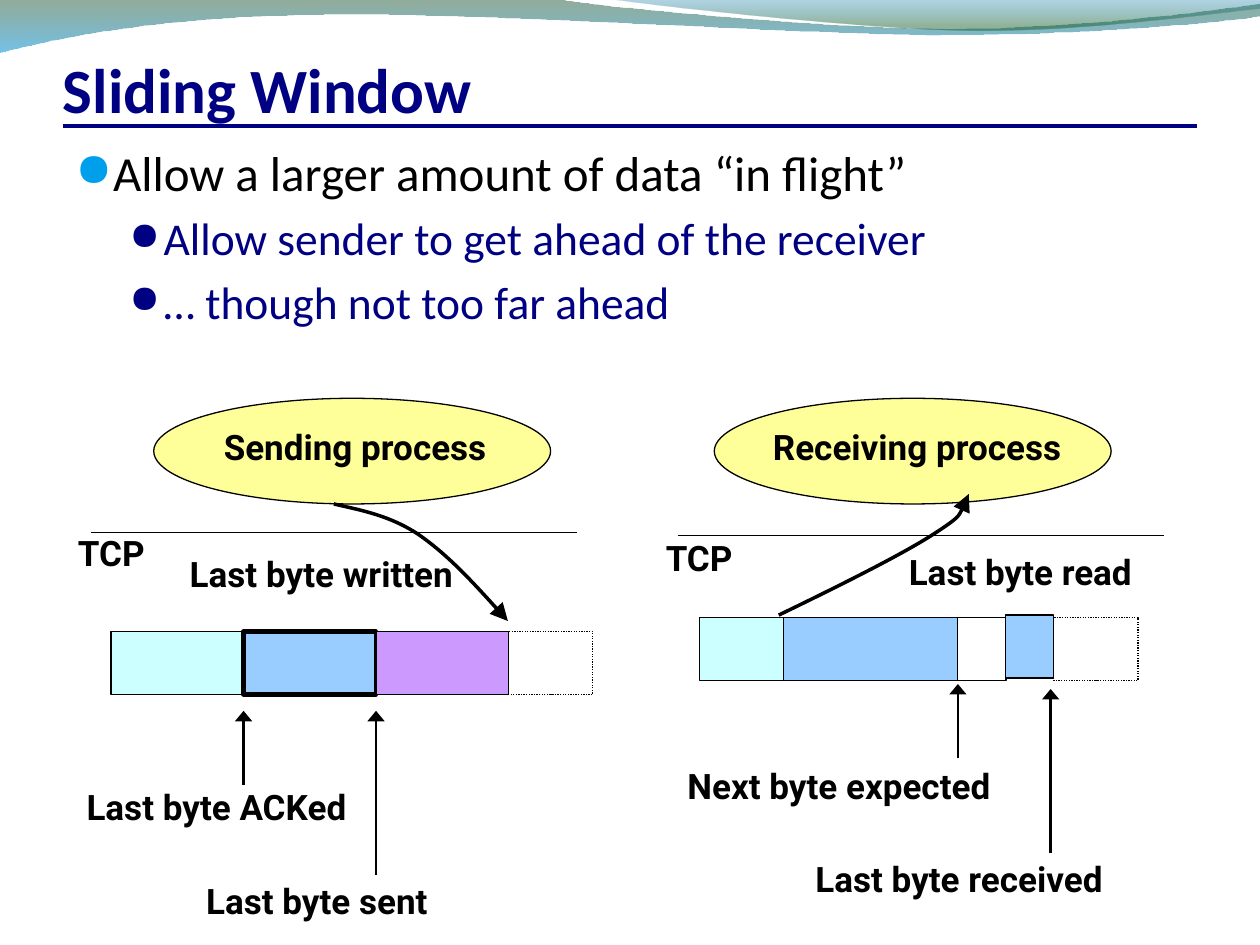
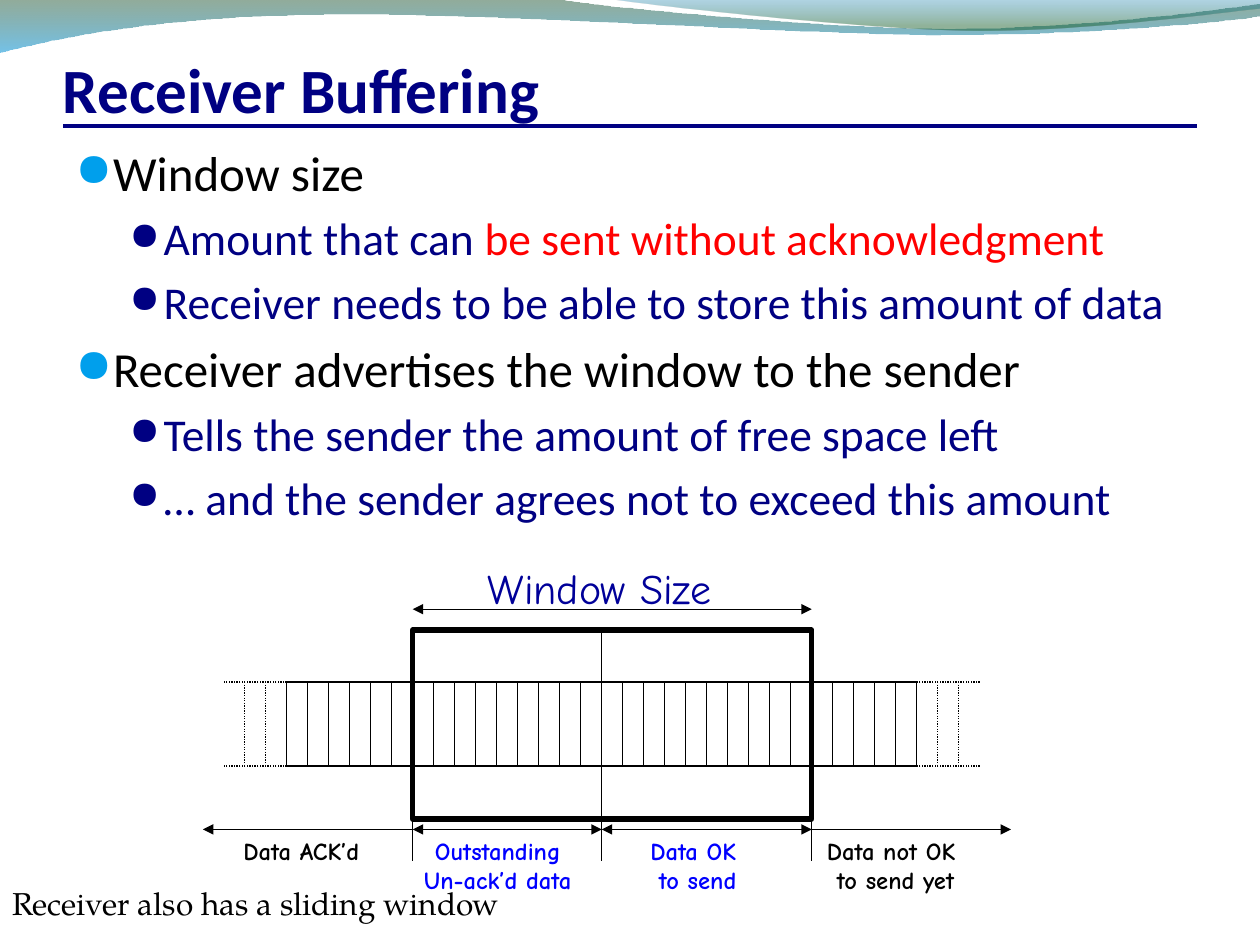
from dataclasses import dataclass

import lxml.etree
import pptx
import pptx.dml.color
import pptx.enum.dml
import pptx.enum.shapes
import pptx.enum.text
import pptx.oxml.ns
import pptx.util

Cm = pptx.util.Cm
RGBColor = pptx.dml.color.RGBColor
SHAPE = pptx.enum.shapes.MSO_SHAPE
ALIGN = pptx.enum.text.PP_ALIGN
ANCHOR = pptx.enum.text.MSO_ANCHOR
qn = pptx.oxml.ns.qn

BLACK = RGBColor(0x00, 0x00, 0x00)
WHITE = RGBColor(0xFF, 0xFF, 0xFF)
NAVY = RGBColor(0x00, 0x00, 0x82)
SKY = RGBColor(0x00, 0x9F, 0xEC)
RED = RGBColor(0xFF, 0x00, 0x00)
YELLOW = RGBColor(0xFF, 0xFF, 0x99)
AQUA = RGBColor(0xCC, 0xFF, 0xFF)
LIGHT_BLUE = RGBColor(0x99, 0xCC, 0xFF)
VIOLET = RGBColor(0xCC, 0x99, 0xFF)
INDIGO = RGBColor(0x00, 0x00, 0x99)
BLUE = RGBColor(0x00, 0x00, 0xFF)

TITLE_FONT, LABEL_FONT = "Calibri", "Roboto"
COMIC_FONT, FOOTER_FONT = "Comic Neue", "TeX Gyre Pagella"
BULLET_FONT = "OpenSymbol"
SLIDE_W, SLIDE_H = 25.4, 19.05


@dataclass(frozen=True)
class Box:
    """A preset shape; lengths in centimetres."""
    x: float
    y: float
    w: float
    h: float
    fill: RGBColor | None = None
    line_pt: float = 0.75
    dotted: bool = False
    kind: SHAPE = SHAPE.RECTANGLE


@dataclass(frozen=True)
class Stroke:
    """Line format; tip holds the width and length of the arrowheads."""
    width_pt: float = 0.75
    color: RGBColor = BLACK
    dotted: bool = False
    head: bool = False
    tail: bool = False
    tip: tuple[str, str] = ("med", "med")


@dataclass(frozen=True)
class Label:
    x: float
    y: float
    w: float
    h: float
    lines: tuple[str, ...]
    color: RGBColor = BLACK


@dataclass(frozen=True)
class Band:
    """A wave: 2-tuples are line ends, 6-tuples are cubic curves; stops hold position, colour, opacity."""
    start: tuple
    steps: tuple
    stops: tuple


@dataclass(frozen=True)
class Level:
    size: float
    color: RGBColor
    bullet_color: RGBColor
    bullet_pct: int
    left: float
    hanging: float


THIN = Stroke()
DOTTED = Stroke(dotted=True)
POINTER = Stroke(1.5, tail=True, tip=("lg", "med"))
CURVED_ARROW = Stroke(2, tail=True, tip=("lg", "lg"))

LEVELS = (Level(28, BLACK, SKY, 95, 0.76, 0.76),
          Level(26, NAVY, NAVY, 85, 1.78, 0.69))

BANDS = (
    Band((0, -0.02),
         ((11.18, -0.02), (12.09, 0.15, 16.87, 0.58, 19.25, 0.58),
          (21.67, 0.58, 24.33, 0.23, 25.4, 0.08), (25.43, 0.33),
          (24.97, 0.41, 22.1, 0.71, 18.95, 0.71),
          (15.8, 0.69, 9.7, 0.25, 6.53, 0.3),
          (3.28, 0.33, 1.17, 0.76, -0.02, 1.06)),
         ((0, RGBColor(0x0F, 0x46, 0x1E), 45), (1, RGBColor(0x00, 0x90, 0xD6), 55))),
    Band((12.17, -0.02),
         ((12.93, 0.1, 17.32, 0.58, 19.53, 0.61),
          (21.74, 0.64, 24.41, 0.28, 25.4, 0.18), (25.4, -0.02)),
         ((0, RGBColor(0x00, 0x76, 0xAF), 30), (0.8, RGBColor(0x0D, 0x58, 0x21), 45))),
)


def write(p, text: str, *, size: float, font: str, color: RGBColor, bold: bool = False) -> None:
    r = p.add_run()
    r.text = text
    r.font.size = pptx.util.Pt(size)
    r.font.name = font
    r.font.bold = bold
    r.font.color.rgb = color


def set_line(sp, stroke: Stroke) -> None:
    sp.line.color.rgb = stroke.color
    sp.line.width = pptx.util.Pt(stroke.width_pt)
    if stroke.dotted:
        sp.line.dash_style = pptx.enum.dml.MSO_LINE.ROUND_DOT
    ln = sp.element.spPr.find(qn("a:ln"))
    width, length = stroke.tip
    for tag, wanted in (("a:headEnd", stroke.head), ("a:tailEnd", stroke.tail)):
        if wanted:
            lxml.etree.SubElement(ln, qn(tag), type="triangle", w=width, len=length)


def add_box(slide, box: Box):
    sp = slide.shapes.add_shape(box.kind, Cm(box.x), Cm(box.y), Cm(box.w), Cm(box.h))
    sp.shadow.inherit = False
    if box.fill is None:
        sp.fill.background()
    else:
        sp.fill.solid()
        sp.fill.fore_color.rgb = box.fill
    if box.line_pt:
        set_line(sp, Stroke(box.line_pt, dotted=box.dotted))
    else:
        sp.line.fill.background()
    return sp


def add_line(slide, x1: float, y1: float, x2: float, y2: float, stroke: Stroke = THIN) -> None:
    cxn = slide.shapes.add_connector(pptx.enum.shapes.MSO_CONNECTOR.STRAIGHT,
                                     Cm(x1), Cm(y1), Cm(x2), Cm(y2))
    set_line(cxn, stroke)
    lxml.etree.SubElement(cxn.element.spPr, qn("a:effectLst"))


def add_curve(slide, start: tuple, steps: tuple, close: bool = False):
    """Build the outline through all its points, then turn each 6-tuple step into a cubic curve."""
    points = [(Cm(step[i]), Cm(step[i + 1])) for step in steps for i in range(0, len(step), 2)]
    builder = slide.shapes.build_freeform(Cm(start[0]), Cm(start[1]))
    builder.add_line_segments(points, close=close)
    sp = builder.convert_to_shape()
    sp.shadow.inherit = False
    segments = iter(list(sp.element.spPr.iter(qn("a:lnTo"))))
    for step in steps:
        first, *others = [next(segments) for _ in range(len(step) // 2)]
        if others:
            first.tag = qn("a:cubicBezTo")
        for segment in others:
            first.append(segment[0])
            segment.getparent().remove(segment)
    return sp


def add_curved_arrow(slide, start: tuple, *steps: tuple) -> None:
    sp = add_curve(slide, start, steps)
    sp.fill.background()
    set_line(sp, CURVED_ARROW)


def add_band(slide, band: Band) -> None:
    sp = add_curve(slide, band.start, band.steps, close=True)
    sp.line.fill.background()
    sp.fill.gradient()
    sp.fill.gradient_angle = 270
    for stop, (position, color, _) in zip(sp.fill.gradient_stops, band.stops):
        stop.position = position
        stop.color.rgb = color
    for clr, (_, _, opacity) in zip(sp.element.spPr.iter(qn("a:srgbClr")), band.stops):
        lxml.etree.SubElement(clr, qn("a:alpha"), val=str(opacity * 1000))


def add_label(slide, label: Label, *, size: float = 20, font: str = LABEL_FONT,
              bold: bool = True, align: ALIGN = ALIGN.CENTER) -> None:
    tb = slide.shapes.add_textbox(Cm(label.x), Cm(label.y), Cm(label.w), Cm(label.h))
    tf = tb.text_frame
    tf.word_wrap = False
    tf.auto_size = pptx.enum.text.MSO_AUTO_SIZE.SHAPE_TO_FIT_TEXT
    for i, text in enumerate(label.lines):
        p = tf.add_paragraph() if i else tf.paragraphs[0]
        p.alignment = align
        write(p, text, size=size, font=font, color=label.color, bold=bold)


def format_bullet(p, level: Level) -> None:
    pPr = p._p.get_or_add_pPr()
    pPr.set("marL", str(Cm(level.left)))
    pPr.set("indent", str(-Cm(level.hanging)))
    before = lxml.etree.SubElement(pPr, qn("a:spcBef"))
    lxml.etree.SubElement(before, qn("a:spcPct"), val="20000")
    color = lxml.etree.SubElement(pPr, qn("a:buClr"))
    lxml.etree.SubElement(color, qn("a:srgbClr"), val=str(level.bullet_color))
    lxml.etree.SubElement(pPr, qn("a:buSzPct"), val=str(level.bullet_pct * 1000))
    lxml.etree.SubElement(pPr, qn("a:buFont"), typeface=BULLET_FONT)
    lxml.etree.SubElement(pPr, qn("a:buChar"), char="●")


def add_base_slide(prs, title: str, bullets: tuple, footer: str = ""):
    """Add a slide with waves, title, rule, bullets (level, text, red text) and footer strip."""
    slide = prs.slides.add_slide(prs.slide_layouts[6])
    for band in BANDS:
        add_band(slide, band)
    add_line(slide, 1.27, 2.54, 24.13, 2.54, Stroke(2.25, NAVY))

    tf = slide.shapes.add_textbox(Cm(1.27), Cm(0.84), Cm(22.86), Cm(1.7)).text_frame
    tf.word_wrap = True
    tf.vertical_anchor = ANCHOR.BOTTOM
    tf.margin_left = tf.margin_right = tf.margin_bottom = 0
    write(tf.paragraphs[0], title, size=36, font=TITLE_FONT, color=NAVY, bold=True)

    tf = slide.shapes.add_textbox(Cm(1.27), Cm(2.75), Cm(22.86), Cm(14.81)).text_frame
    tf.word_wrap = True
    for i, (depth, text, red_text) in enumerate(bullets):
        p = tf.add_paragraph() if i else tf.paragraphs[0]
        p.level = depth
        level = LEVELS[depth]
        format_bullet(p, level)
        write(p, text, size=level.size, font=TITLE_FONT, color=level.color)
        if red_text:
            write(p, red_text, size=level.size, font=TITLE_FONT, color=RED)

    strip = add_box(slide, Box(0, 17.35, SLIDE_W, 1.7, WHITE, line_pt=0))
    if footer:
        tf = strip.text_frame
        tf.word_wrap = False
        tf.vertical_anchor = ANCHOR.MIDDLE
        tf.paragraphs[0].alignment = ALIGN.LEFT
        write(tf.paragraphs[0], footer, size=18, font=FOOTER_FONT, color=BLACK)
    return slide


def build_sliding_window(prs) -> None:
    slide = add_base_slide(prs, "Sliding Window", (
        (0, "Allow a larger amount of data “in flight”", ""),
        (1, "Allow sender to get ahead of the receiver", ""),
        (1, "… though not too far ahead", "")))
    for x in (3.1, 14.4):
        add_box(slide, Box(x, 8.03, 8, 2.13, YELLOW, kind=SHAPE.OVAL))
    for x, y in ((1.83, 10.74), (13.67, 10.8)):
        add_line(slide, x, y, x + 9.8, y)

    send_y, receive_y, h = 12.73, 12.45, 1.27
    for box in (Box(2.24, send_y, 2.67, h, AQUA),
                Box(4.91, send_y, 2.67, h, LIGHT_BLUE, 2.5),
                Box(7.58, send_y, 2.67, h, VIOLET),
                Box(10.25, send_y, 1.7, h, dotted=True),
                Box(14.1, receive_y, 1.7, h, AQUA),
                Box(15.8, receive_y, 3.63, h, LIGHT_BLUE),
                Box(19.31, receive_y, 0.97, h, WHITE),
                Box(21.24, receive_y, 1.7, h, dotted=True),
                Box(20.27, 12.4, 0.97, h, LIGHT_BLUE)):
        add_box(slide, box)

    add_curved_arrow(slide, (6.73, 10.16), (7.29, 10.29, 7.85, 10.39, 8.43, 10.77),
                     (9.02, 11.18, 9.63, 11.84, 10.24, 12.52))
    add_curved_arrow(slide, (15.7, 12.4), (16.92, 11.81, 18.14, 11.2, 18.77, 10.8),
                     (19.41, 10.39, 19.46, 10.19, 19.53, 9.96))
    for x, bottom, top in ((4.91, 15.82, 14.33), (7.58, 17.63, 14.33),
                           (19.31, 15.29, 13.79), (21.18, 17.2, 13.89)):
        add_line(slide, x, bottom, x, top, POINTER)
    for x, y, w, text in ((4.06, 8.46, 6.2, "Sending process"),
                          (15.11, 8.46, 6.76, "Receiving process"),
                          (1.28, 10.59, 1.93, "TCP"),
                          (13.13, 10.69, 1.93, "TCP"),
                          (3.43, 11.02, 6.1, "Last byte written"),
                          (17.93, 10.98, 5.28, "Last byte read"),
                          (1.28, 15.72, 6.17, "Last byte ACKed"),
                          (3.76, 17.6, 5.26, "Last byte sent"),
                          (13.45, 15.29, 6.93, "Next byte expected"),
                          (16.01, 17.17, 6.65, "Last byte received")):
        add_label(slide, Label(x, y, w, 1.09, (text,)))


def build_receiver_buffering(prs) -> None:
    slide = add_base_slide(prs, "Receiver Buffering", (
        (0, "Window size", ""),
        (1, "Amount that can ", "be sent without acknowledgment"),
        (1, "Receiver needs to be able to store this amount of data", ""),
        (0, "Receiver advertises the window to the sender", ""),
        (1, "Tells the sender the amount of free space left", ""),
        (1, "… and the sender agrees not to exceed this amount", "")),
        footer="Receiver also has a sliding window")
    cells, top, bottom = 30, 13.75, 15.44

    def tick_x(i: float) -> float:
        return 5.78 + i * 12.7 / cells

    for first, last, stroke in ((0, cells, THIN), (0, -3, DOTTED), (cells + 3, cells, DOTTED)):
        for y in (top, bottom):
            add_line(slide, tick_x(first), y, tick_x(last), y, stroke)
    for i in range(-2, cells + 3):
        add_line(slide, tick_x(i), top, tick_x(i), bottom, THIN if 0 <= i <= cells else DOTTED)

    left, middle, right = tick_x(6), tick_x(15), tick_x(25)
    add_box(slide, Box(left, 12.7, right - left, 3.81, line_pt=3))
    add_line(slide, middle, 12.7, middle, 16.51)
    for x1, x2, y, head in ((left, right, 12.28, True), (left, 4.09, 16.72, False),
                            (right, 20.38, 16.72, False), (left, middle, 16.72, True),
                            (middle, right, 16.72, True)):
        add_line(slide, x1, y, x2, y, Stroke(head=head, tail=True))
    for x in (left, middle, right):
        add_line(slide, x, 16.51, x, 17.35)

    add_label(slide, Label(9.58, 11.22, 5.59, 1.27, ("Window Size",), INDIGO),
              size=24, font=COMIC_FONT, bold=False, align=ALIGN.LEFT)
    for x, w, lines, color in ((8.08, 3.91, ("Outstanding", "Un-ack’d data"), BLUE),
                               (12.68, 2.77, ("Data OK ", "to send"), BLUE),
                               (16.19, 3.73, ("Data not OK ", "to send yet"), BLACK),
                               (4.44, 3.45, ("Data ACK’d ",), BLACK)):
        add_label(slide, Label(x, 16.73, w, 1.45, lines, color), size=14, font=COMIC_FONT)


def main() -> None:
    prs = pptx.Presentation()
    prs.slide_width, prs.slide_height = Cm(SLIDE_W), Cm(SLIDE_H)
    build_sliding_window(prs)
    build_receiver_buffering(prs)
    prs.save("out.pptx")


if __name__ == "__main__":
    main()
